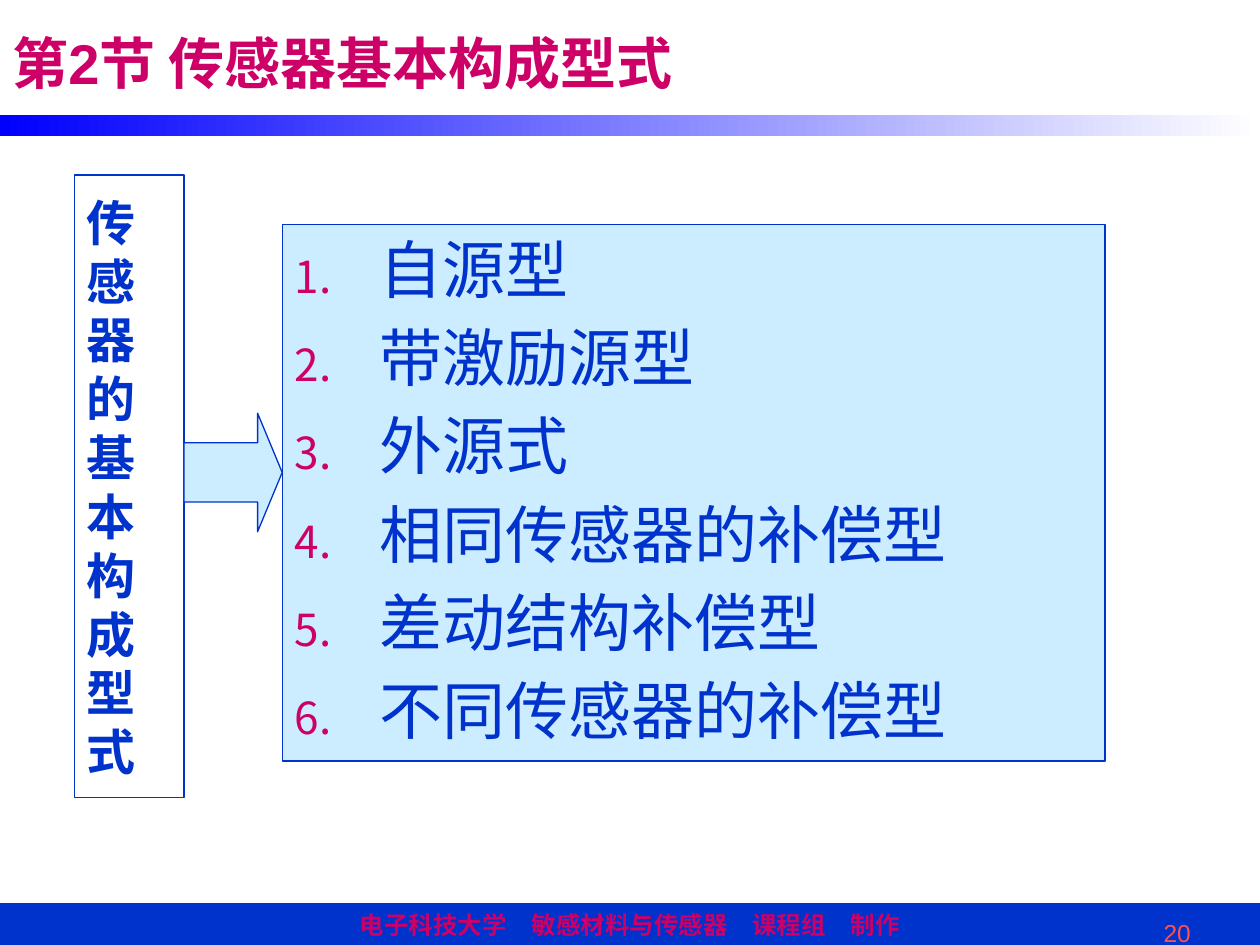
from lxml import etree
from pptx import Presentation
from pptx.dml.color import RGBColor
from pptx.enum.shapes import MSO_SHAPE
from pptx.enum.text import MSO_ANCHOR, PP_ALIGN
from pptx.oxml.ns import qn
from pptx.util import Inches, Pt

RECTANGLE, ARROW = MSO_SHAPE.RECTANGLE, MSO_SHAPE.RIGHT_ARROW
TOP, MIDDLE = MSO_ANCHOR.TOP, MSO_ANCHOR.MIDDLE
LEFT, CENTER, RIGHT = PP_ALIGN.LEFT, PP_ALIGN.CENTER, PP_ALIGN.RIGHT

BLUE = RGBColor(0x00, 0x33, 0xCC)
BRIGHT_BLUE = RGBColor(0x00, 0x00, 0xFF)
PALE_BLUE = RGBColor(0xCC, 0xEC, 0xFF)
MAGENTA = RGBColor(0xCC, 0x00, 0x66)
CORAL = RGBColor(0xFF, 0x50, 0x50)
WHITE = RGBColor(0xFF, 0xFF, 0xFF)

TITLE = "第2节 传感器基本构成型式"
TOPIC = "传感器的基本构成型式"
TYPES = [
    "自源型",
    "带激励源型",
    "外源式",
    "相同传感器的补偿型",
    "差动结构补偿型",
    "不同传感器的补偿型",
]
FOOTER = "电子科技大学　敏感材料与传感器　课程组　制作"
PAGE_NUMBER = "20"

SLIDE_WIDTH, SLIDE_HEIGHT = 10, 7.5
TOPIC_BOX = (0.59, 1.39, 0.87, 4.94)
TYPES_BOX = (2.24, 1.78, 6.53, 4.26)
ARROW_HEIGHT = 0.94
NUMBER_INDENT = 0.67


def add_block(slide, kind, box, fill=None, line=BLUE):
    block = slide.shapes.add_shape(kind, *map(Inches, box))
    block.shadow.inherit = False
    if fill is None:
        block.fill.background()
    else:
        block.fill.solid()
        block.fill.fore_color.rgb = fill
    if line is None:
        block.line.fill.background()
    else:
        block.line.color.rgb = line
        block.line.width = Pt(0.75)
    return block


def write(holder, lines, size, color, bold=False, align=LEFT, anchor=TOP,
          font="Arial", numbered=False):
    frame = holder.text_frame
    frame.word_wrap = True
    frame.vertical_anchor = anchor
    frame.text = "\n".join(lines)
    for index, paragraph in enumerate(frame.paragraphs):
        paragraph.alignment = align
        if numbered:
            add_number(paragraph)
            if index:
                paragraph.space_before = Pt(0.2 * size)
        for run in paragraph.runs:
            run.font.name = font
            run.font.size = Pt(size)
            run.font.bold = bold
            run.font.color.rgb = color


def add_number(paragraph):
    """Give the paragraph a hanging, smaller, magenta automatic number."""
    properties = paragraph._p.get_or_add_pPr()
    properties.set("marL", str(Inches(NUMBER_INDENT)))
    properties.set("indent", str(-Inches(NUMBER_INDENT)))
    number_color = etree.SubElement(properties, qn("a:buClr"))
    etree.SubElement(number_color, qn("a:srgbClr"), val=str(MAGENTA))
    etree.SubElement(properties, qn("a:buSzPct"), val="70000")
    etree.SubElement(properties, qn("a:buAutoNum"), type="arabicPeriod")


def add_label(slide, box, text, size, color, **style):
    write(slide.shapes.add_textbox(*map(Inches, box)), [text], size, color, **style)


def main():
    deck = Presentation()
    deck.slide_width, deck.slide_height = Inches(SLIDE_WIDTH), Inches(SLIDE_HEIGHT)
    slide = deck.slides.add_slide(deck.slide_layouts[6])

    footer = add_block(slide, RECTANGLE, (0, 7.17, SLIDE_WIDTH, 0.34), BLUE)
    write(footer, [FOOTER], 14, MAGENTA, bold=True, align=CENTER, font="Roboto")
    add_label(slide, (7.05, 7.24, 2.5, 0.26), PAGE_NUMBER, 14, CORAL, align=RIGHT)

    title_rule = add_block(slide, RECTANGLE, (0, 0.91, SLIDE_WIDTH, 0.17), line=None)
    title_rule.fill.gradient()
    title_rule.fill.gradient_angle = 0
    for stop, color, position in zip(title_rule.fill.gradient_stops,
                                     (BRIGHT_BLUE, WHITE), (0, 1)):
        stop.color.rgb = color
        stop.position = position
    add_label(slide, (0, 0.14, 6.4, 0.7), TITLE, 32, MAGENTA, bold=True, anchor=MIDDLE)

    topic = add_block(slide, RECTANGLE, TOPIC_BOX)
    write(topic, [TOPIC], 28, BLUE, bold=True, anchor=MIDDLE)
    types = add_block(slide, RECTANGLE, TYPES_BOX, PALE_BLUE)
    write(types, TYPES, 36, BLUE, numbered=True)

    topic_left, topic_top, topic_width, topic_height = TOPIC_BOX
    arrow_left = topic_left + topic_width
    arrow_top = topic_top + (topic_height - ARROW_HEIGHT) / 2 - 0.11
    arrow = add_block(slide, ARROW, (arrow_left, arrow_top,
                                     TYPES_BOX[0] - arrow_left, ARROW_HEIGHT), PALE_BLUE)
    arrow.adjustments[0], arrow.adjustments[1] = 0.5, 0.25

    deck.save("out.pptx")


if __name__ == "__main__":
    main()
